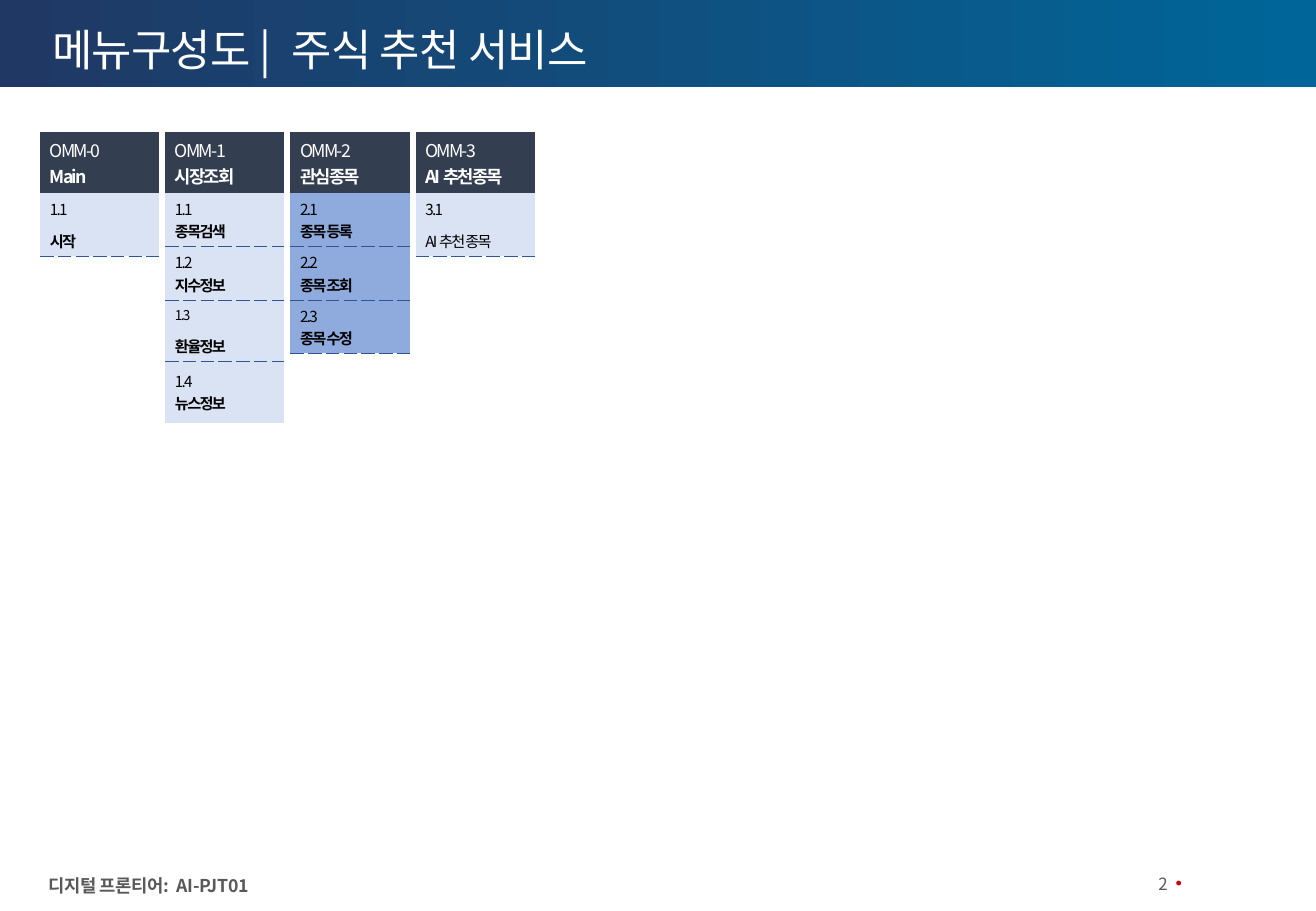
from lxml import etree
from pptx import Presentation
from pptx.dml.color import RGBColor
from pptx.enum.shapes import MSO_SHAPE as Shape
from pptx.enum.text import MSO_ANCHOR as Anchor, PP_ALIGN as Align
from pptx.oxml.ns import qn
from pptx.util import Inches, Pt

FONT = "Noto Sans CJK KR"
COLORS = {
    "banner_start": "203864", "banner_end": "006699", "dot": "C50C0F",
    "footer": "595959", "white": "FFFFFF", "black": "000000",
    "header": "333F50", "pale": "DAE3F3", "blue": "8FAADC", "dash": "2F5597",
}
# Each span is (text, spacing in points)
TITLE = [("메뉴구성도 |", -0.5), (" ", 6), ("주식 추천 서비스", -0.5)]
FOOTER = [("디지털 프론티어:", -0.2), (" ", 2), ("AI-PJT01", -0.2)]
PAGE_NUMBER = [("2", 0)]

# Item: number, name, and optional changes to the format
SPLIT = {"split": True, "height": 0.52}
MENUS = [
    ("OMM-0", "Main", "pale", [("1.1", "시작", SPLIT)]),
    ("OMM-1", "시장조회", "pale", [
        ("1.1", "종목검색", {}),
        ("1.2", "지수정보", {}),
        ("1.3", "환율정보", {"split": True, "height": 0.5, "number_size": 8}),
        ("1.4", "뉴스정보", {"height": 0.51, "dashed": False}),
    ]),
    ("OMM-2", "관심종목", "blue", [
        ("2.1", "종목 등록", {}),
        ("2.2", "종목 조회", {}),
        ("2.3", "종목 수정", {}),
    ]),
    ("OMM-3", "AI 추천종목", "pale", [
        ("3.1", "AI 추천 종목", {**SPLIT, "bold": False}),
    ]),
]
MENU_LEFT, MENU_TOP, MENU_WIDTH, MENU_STEP = 0.33, 1.09, 0.98, 1.03
HEADER_HEIGHT, ITEM_HEIGHT = 0.5, 0.44
NO_STYLE = "{2D5ABB26-0587-4C30-8999-92F81FD0307C}"


def rgb(name):
    return RGBColor.from_string(COLORS[name])


def add_span(para, text, size, color, bold=False, spacing=0):
    span = para.add_run()
    span.text = text
    font = span.font
    font.name, font.size, font.bold = FONT, Pt(size), bold
    font.color.rgb = rgb(color)
    properties = font._element
    properties.set("spc", str(round(spacing * 100)))
    east_asian = etree.SubElement(properties, qn("a:ea"))
    east_asian.set("typeface", FONT)


def add_text(page, place, spans, size, color, bold=False, wrap=True,
             align=Align.LEFT, anchor=Anchor.MIDDLE):
    box = page.shapes.add_textbox(*map(Inches, place))
    frame = box.text_frame
    frame.margin_left = frame.margin_right = 0
    frame.margin_top = frame.margin_bottom = 0
    frame.word_wrap, frame.vertical_anchor = wrap, anchor
    para = frame.paragraphs[0]
    para.alignment = align
    for text, spacing in spans:
        add_span(para, text, size, color, bold, spacing)


def add_plain_shape(page, kind, place):
    shape = page.shapes.add_shape(kind, *map(Inches, place))
    shape.shadow.inherit = False
    shape.line.fill.background()
    return shape


def dash_bottom(cell):
    line = etree.Element(qn("a:lnB"), w=str(Pt(0.25)))
    fill = etree.SubElement(line, qn("a:solidFill"))
    etree.SubElement(fill, qn("a:srgbClr"), val=COLORS["dash"])
    etree.SubElement(line, qn("a:prstDash"), val="dash")
    cell._tc.get_or_add_tcPr().insert(0, line)


def fill_cell(cell, number, name, fill, size, color, number_size=None,
              bold=True, split=False):
    """Put the number above the name, as two paragraphs if split."""
    cell.fill.solid()
    cell.fill.fore_color.rgb = rgb(fill)
    cell.vertical_anchor = Anchor.MIDDLE
    cell.margin_left = cell.margin_right = Inches(0.08)
    cell.margin_top = cell.margin_bottom = Inches(0.04)
    frame = cell.text_frame
    para = frame.paragraphs[0]
    add_span(para, number, number_size or size, color, spacing=-1)
    if split:
        para = frame.add_paragraph()
    else:
        para.add_line_break()
    add_span(para, name, size, color, bold, spacing=-1)
    for para in frame.paragraphs:
        para.space_before = para.space_after = Pt(3)


def add_menu(page, left, code, title, fill, items):
    heights = [HEADER_HEIGHT]
    heights += [options.get("height", ITEM_HEIGHT) for _, _, options in items]
    place = (left, MENU_TOP, MENU_WIDTH, sum(heights))
    table = page.shapes.add_table(len(heights), 1, *map(Inches, place)).table
    table.first_row = table.horz_banding = False
    table._tbl.tblPr.find(qn("a:tableStyleId")).text = NO_STYLE
    for row, height in zip(table.rows, heights):
        row.height = Inches(height)
    fill_cell(table.cell(0, 0), code, title, "header", 10.5, "white")
    for index, (number, name, options) in enumerate(items, 1):
        cell = table.cell(index, 0)
        fill_cell(cell, number, name, fill, 9, "black",
                  number_size=options.get("number_size"),
                  bold=options.get("bold", True),
                  split=options.get("split", False))
        if options.get("dashed", True):
            dash_bottom(cell)


def main():
    deck = Presentation()
    deck.slide_width, deck.slide_height = Inches(10.83), Inches(7.5)
    page = deck.slides.add_slide(deck.slide_layouts[6])

    banner = add_plain_shape(page, Shape.RECTANGLE, (0, 0, 10.83, 0.72))
    banner.fill.gradient()
    banner.fill.gradient_angle = 0
    stops = zip(banner.fill.gradient_stops, ("banner_start", "banner_end"))
    for position, (stop, color) in enumerate(stops):
        stop.position = position
        stop.color.rgb = rgb(color)
    dot = add_plain_shape(page, Shape.OVAL, (9.68, 7.25, 0.04, 0.04))
    dot.fill.solid()
    dot.fill.fore_color.rgb = rgb("dot")

    add_text(page, (8.91, 7.18, 0.7, 0.2), PAGE_NUMBER, 10, "footer",
             align=Align.RIGHT)
    add_text(page, (0.4, 7.2, 4.24, 0.18), FOOTER, 10.5, "footer", bold=True,
             anchor=Anchor.TOP)
    add_text(page, (0.43, 0.18, 9.99, 0.44), TITLE, 26, "white", wrap=False)
    for index, menu in enumerate(MENUS):
        add_menu(page, MENU_LEFT + index * MENU_STEP, *menu)
    deck.save("out.pptx")


if __name__ == "__main__":
    main()
